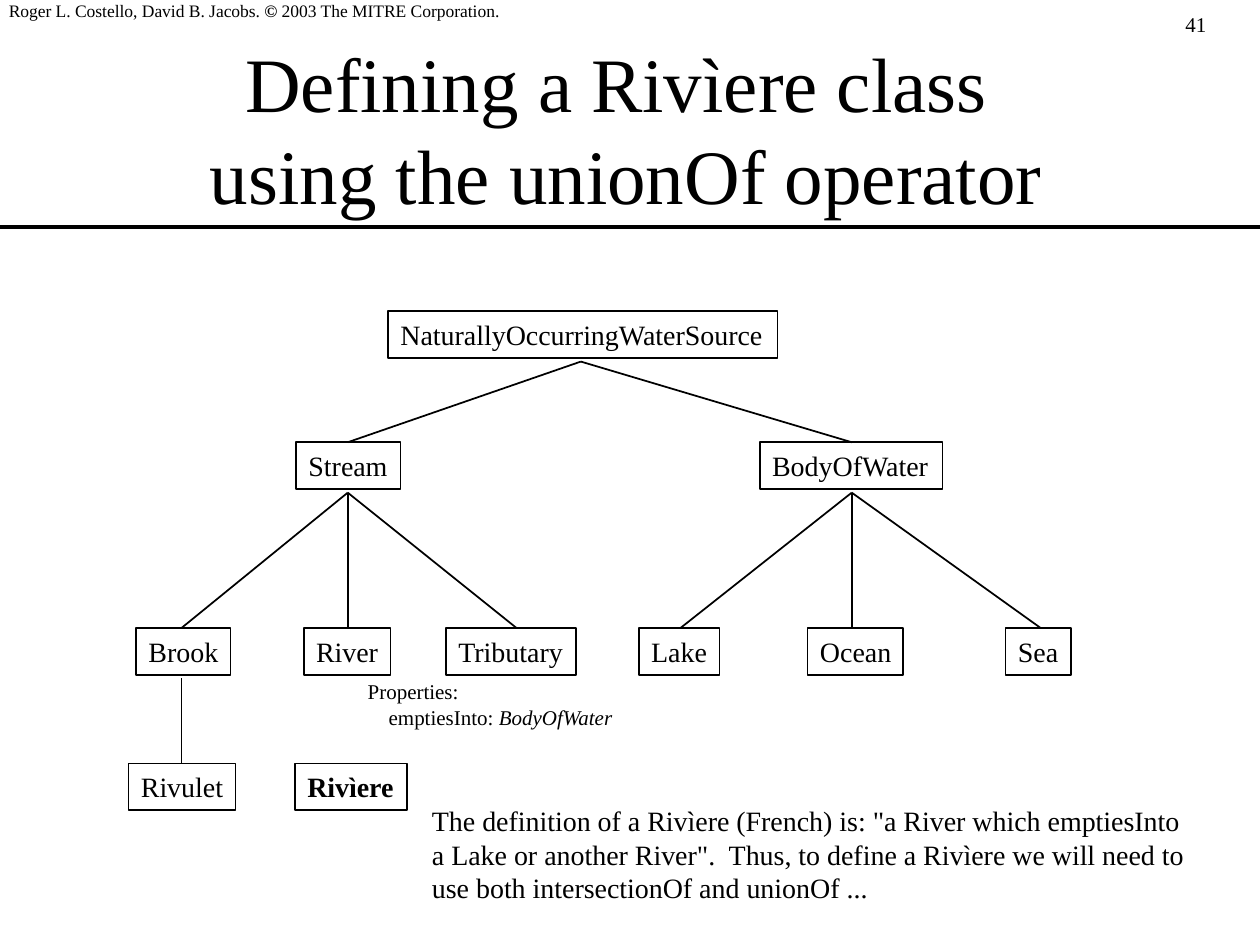
from pptx import Presentation, util as u
from pptx.dml.color import RGBColor
from pptx.enum import shapes, text
from pptx.oxml.ns import qn
from lxml import etree

# Grid: 100 columns by 75 rows on a 10 x 7.5 inch slide
COLS, ROWS = 100, 75
WIDTH, HEIGHT = u.Inches(10), u.Inches(7.5)
FONT, INK = "Times New Roman", "000000"

# Class tree: top row of each level, then name: (level, column, width, join column)
LEVELS = [24.7, 35.1, 49.85, 60.6]
NODE_H, GAP = 3.7, 0.3
NODES = {
    "NaturallyOccurringWaterSource": (0, 30.8, 30.9, 46.1),
    "Stream": (1, 23.5, 8.3, 27.6),
    "BodyOfWater": (1, 60.3, 14.5, 67.6),
    "Brook": (2, 10.8, 7.5, 14.4),
    "River": (2, 24.1, 6.9, 27.6),
    "Tributary": (2, 35.4, 10.3, 41),
    "Lake": (2, 50.7, 6.4, 54),
    "Ocean": (2, 64.1, 7.6, 67.6),
    "Sea": (2, 79.8, 5.2, 82.6),
    "Rivulet": (3, 10.2, 8.5, 14.4),
    "Rivìere": (3, 23.4, 8.9, 27.8),
}
CHILDREN = {
    "NaturallyOccurringWaterSource": ["Stream", "BodyOfWater"],
    "Stream": ["Brook", "River", "Tributary"],
    "BodyOfWater": ["Lake", "Ocean", "Sea"],
    "Brook": ["Rivulet"],
}


def color(value):
    return RGBColor.from_string(value)


def col(n):
    return round(WIDTH * n / COLS)


def row(n):
    return round(HEIGHT * n / ROWS)


def write(sp, paragraphs, size=16, bold=False, align=text.PP_ALIGN.LEFT,
          anchor=text.MSO_ANCHOR.TOP, wrap=False, insets=(1, 0.5, 1), grow=True,
          spacing=None, indents=()):
    """Fill a shape; a paragraph is a list of (text, style letters) spans.

    Insets are left columns, top and bottom rows, right columns.
    """
    tf = sp.text_frame
    tf.word_wrap = wrap
    tf.vertical_anchor = anchor
    fit = text.MSO_AUTO_SIZE
    tf.auto_size = fit.SHAPE_TO_FIT_TEXT if grow else fit.NONE
    left, ends, right = insets
    tf.margin_left, tf.margin_right = col(left), col(right)
    tf.margin_top = tf.margin_bottom = row(ends)
    for i, spans in enumerate(paragraphs):
        p = tf.paragraphs[0] if i == 0 else tf.add_paragraph()
        p.alignment = align
        if spacing:
            p.line_spacing = u.Pt(spacing)
        if i < len(indents):
            p._p.get_or_add_pPr().set("marL", str(u.Pt(indents[i])))
        for words, style in spans:
            if words == "\n":
                p.add_line_break()
                continue
            r = p.add_run()
            r.text = words
            r.font.name, r.font.size = FONT, u.Pt(size)
            r.font.bold = bold or "b" in style
            r.font.italic = "i" in style
            r.font.color.rgb = color(INK)


def add_text(s, x, y, w, h, paragraphs, **fmt):
    write(s.shapes.add_textbox(col(x), row(y), col(w), row(h)), paragraphs, **fmt)


def add_node(s, name, bold=False):
    level, x, w, _ = NODES[name]
    sp = s.shapes.add_shape(shapes.MSO_SHAPE.RECTANGLE, col(x), row(LEVELS[level]),
                            col(w), row(NODE_H))
    sp.shadow.inherit = False
    sp.fill.background()
    sp.line.color.rgb = color(INK)
    sp.line.width = u.Pt(1)
    # A narrow right inset keeps each label on one line
    write(sp, [[(name, "")]], bold=bold, insets=(1, 0.5, 0.2))


def add_line(s, x1, y1, x2, y2, width=1):
    c = s.shapes.add_connector(shapes.MSO_CONNECTOR.STRAIGHT,
                               col(x1), row(y1), col(x2), row(y2))
    c.line.color.rgb = color(INK)
    c.line.width = u.Pt(width)
    etree.SubElement(c._element.spPr, qn("a:effectLst"))


def add_branch(s, parent, child):
    upper, _, _, x1 = NODES[parent]
    lower, _, _, x2 = NODES[child]
    add_line(s, x1, LEVELS[upper] + NODE_H + GAP, x2, LEVELS[lower])


def main():
    prs = Presentation()
    prs.slide_width, prs.slide_height = WIDTH, HEIGHT
    s = prs.slides.add_slide(prs.slide_layouts[6])

    # Page header and title
    add_text(s, 93.1, 0.45, 6.9, 3, [[("41", "")]], size=12, wrap=True)
    add_text(s, 0.7, 0, 41, 1.7,
             [[("Roger L. Costello, David B. Jacobs. ", ""), ("©", "b"),
               (" 2003 The MITRE Corporation.", "")]],
             size=10, wrap=True, insets=(0, 0, 0))
    add_text(s, 7.2, 3.9, 85, 12.5,
             [[("Defining a Rivìere class ", ""), ("\n", ""),
               ("using the unionOf operator", "")]],
             size=44, align=text.PP_ALIGN.CENTER, anchor=text.MSO_ANCHOR.MIDDLE,
             wrap=True, grow=False, spacing=52.5)
    add_line(s, 0, 18, COLS, 18, width=2)

    # Class tree
    for name in NODES:
        add_node(s, name, bold=name == "Rivìere")
    for parent, names in CHILDREN.items():
        for child in names:
            add_branch(s, parent, child)

    # Notes beside the tree
    add_text(s, 28.2, 53.4, 21.6, 5,
             [[("Properties:", "")], [("emptiesInto: ", ""), ("BodyOfWater", "i")]],
             size=12, indents=(0, 12))
    definition = [
        'The definition of a Rivìere (French) is: "a River which emptiesInto',
        'a Lake or another River".  Thus, to define a Rivìere we will need to',
        "use both intersectionOf and unionOf ...",
    ]
    add_text(s, 33.3, 63.3, 62.3, 9, [[(line, "")] for line in definition])

    prs.save("out.pptx")


if __name__ == "__main__":
    main()
